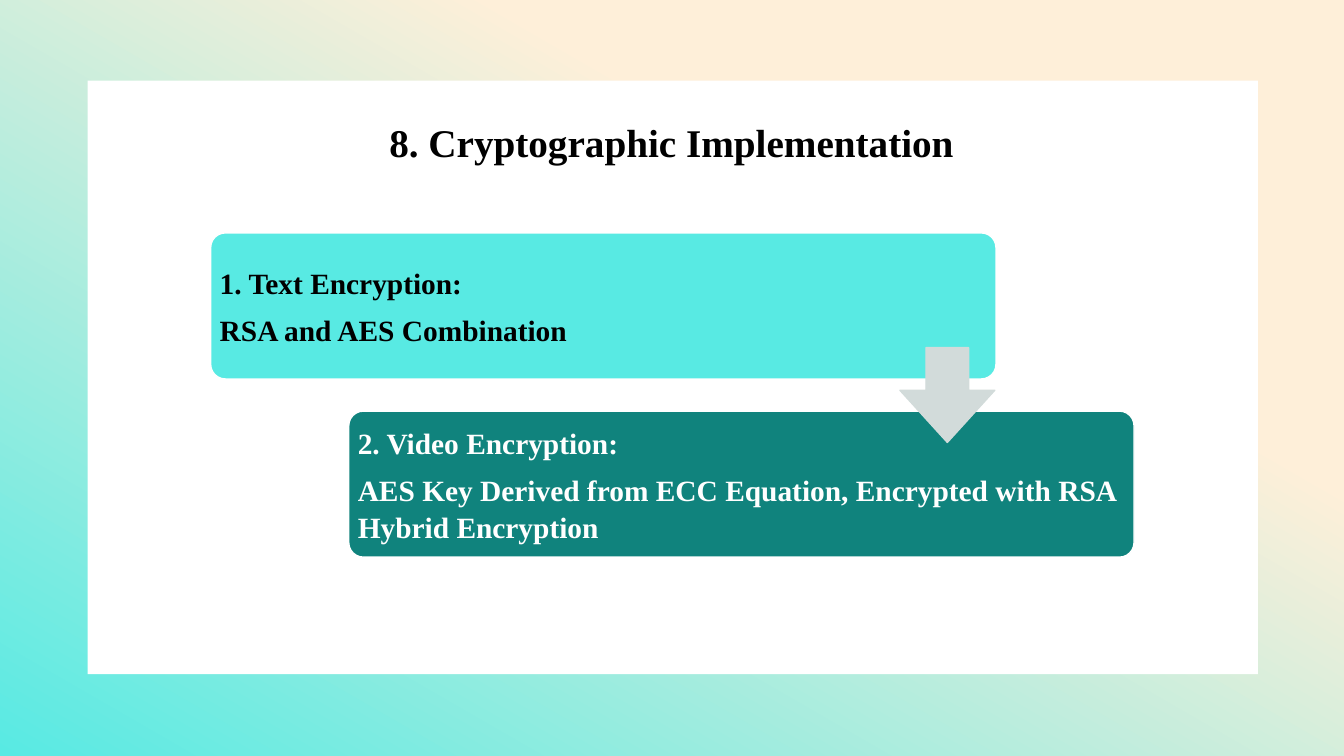
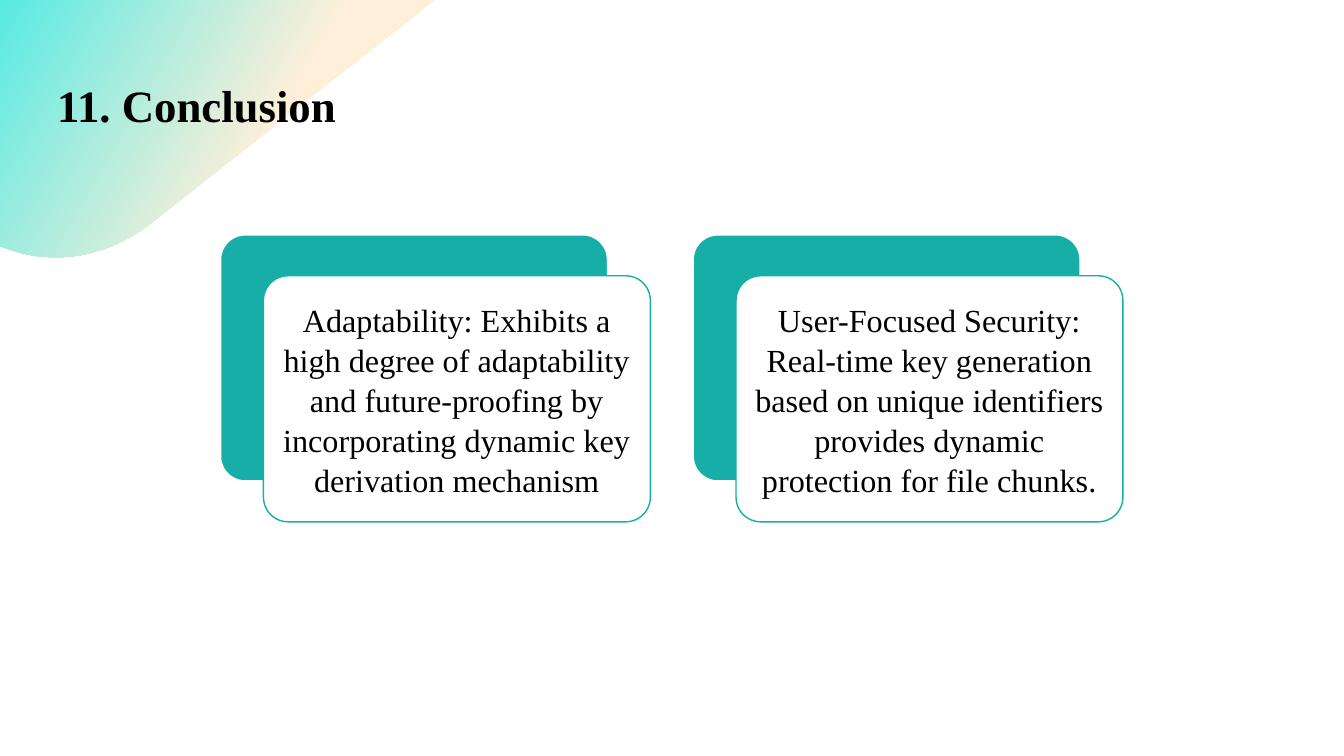
from pptx import Presentation
from pptx.dml.color import RGBColor
from pptx.enum.shapes import MSO_SHAPE as Preset
from pptx.enum.text import MSO_ANCHOR as Anchor, PP_ALIGN as Align
from pptx.util import Cm, Pt

WHITE = RGBColor(0xFF, 0xFF, 0xFF)
BLACK = RGBColor(0x00, 0x00, 0x00)
CREAM = RGBColor(0xFE, 0xEF, 0xD9)
AQUA = RGBColor(0x58, 0xEA, 0xE3)
TEAL = RGBColor(0x16, 0xAE, 0xA7)
DARK_TEAL = RGBColor(0x10, 0x83, 0x7D)
GREY = RGBColor(0xD2, 0xDB, 0xDA)
FONT = "Times New Roman"


def write(shape, lines, size, color, bold=False, align=Align.LEFT,
          spacing=1.04, after=7.5, inset=None, anchor=Anchor.MIDDLE):
    frame = shape.text_frame
    frame.word_wrap = True
    frame.vertical_anchor = anchor
    if inset is not None:
        frame.margin_left = frame.margin_right = inset
        frame.margin_top = frame.margin_bottom = inset
    frame.text = "\n".join(lines)
    for para in frame.paragraphs:
        para.alignment = align
        para.line_spacing = spacing
        para.space_after = Pt(after)
        para.font.name = FONT
        para.font.size = Pt(size)
        para.font.bold = bold
        para.font.color.rgb = color


def paint(shape, fill=None, line=None, gradient=None):
    """Fill with one colour, or with a (start percent, angle) cream-to-aqua gradient."""
    shape.shadow.inherit = False
    if gradient:
        start, angle = gradient
        shape.fill.gradient()
        shape.fill.gradient_angle = angle
        stops = shape.fill.gradient_stops
        for stop, position, color in zip(stops, (start / 100, 1), (CREAM, AQUA)):
            stop.position = position
            stop.color.rgb = color
    else:
        shape.fill.solid()
        shape.fill.fore_color.rgb = fill
    if line is None:
        shape.line.fill.background()
    else:
        shape.line.color.rgb = line
        shape.line.width = Pt(1)


deck = Presentation()
deck.slide_width, deck.slide_height = Cm(33.87), Cm(19.05)
blank = deck.slide_layouts[6]

# Cryptographic implementation
page = deck.slides.add_slide(blank)
backdrop = page.shapes.add_shape(
    Preset.RECTANGLE, 0, 0, deck.slide_width, deck.slide_height)
paint(backdrop, gradient=(32, 240))
panel = page.shapes.add_shape(
    Preset.RECTANGLE, Cm(2.21), Cm(2.03), Cm(29.49), Cm(14.96))
paint(panel, WHITE)
title = page.shapes.add_textbox(Cm(5.92), Cm(3.18), Cm(22), Cm(1.6))
write(title, ["8. Cryptographic Implementation"], 28, BLACK, bold=True,
      align=Align.CENTER, spacing=0.7, after=6, anchor=Anchor.TOP)

steps = [
    (AQUA, BLACK, ["1. Text Encryption:", "RSA and AES Combination"]),
    (DARK_TEAL, WHITE, ["2. Video Encryption:",
                        "AES Key Derived from ECC Equation, Encrypted with RSA "
                        "Hybrid Encryption"]),
]
for index, (fill, color, lines) in enumerate(steps):
    step = page.shapes.add_shape(
        Preset.ROUNDED_RECTANGLE, Cm(5.31 + index * 3.48), Cm(5.87 + index * 4.49),
        Cm(19.79), Cm(3.68))
    step.adjustments[0] = 0.1
    paint(step, fill, WHITE)
    write(step, lines, 21, color, bold=True, inset=Cm(0.12))

arrow = page.shapes.add_shape(
    Preset.DOWN_ARROW, Cm(22.68), Cm(8.76), Cm(2.39), Cm(2.39))
arrow.adjustments[0] = 0.45
arrow.adjustments[1] = 0.55
paint(arrow, GREY, GREY)

# Conclusion
page = deck.slides.add_slide(blank)
corner_curves = [
    [(3.61, 5.77), (2.97, 6.22), (2.26, 6.45), (1.57, 6.48)],
    [(1.35, 6.48), (0.94, 6.48), (0.53, 6.4), (0.15, 6.25)],
]
outline = [(10.97, 0), (3.68, 5.72)]
for curve in corner_curves:
    for t in (part / 12 for part in range(13)):
        weights = ((1 - t) ** 3, 3 * t * (1 - t) ** 2, 3 * t ** 2 * (1 - t), t ** 3)
        outline.append(tuple(sum(weight * point[axis] for weight, point in zip(weights, curve))
                             for axis in (0, 1)))
outline.append((0, 6.2))
builder = page.shapes.build_freeform(0, 0)
builder.add_line_segments([(Cm(x), Cm(y)) for x, y in outline], close=True)
corner = builder.convert_to_shape()
paint(corner, gradient=(40, 150))

title = page.shapes.add_textbox(Cm(1.19), Cm(1.98), Cm(13.97), Cm(2.95))
write(title, ["11. Conclusion"], 32, BLACK, bold=True,
      spacing=0.9, after=6, anchor=Anchor.TOP)

findings = [
    "Adaptability: Exhibits a high degree of adaptability and future-proofing by "
    "incorporating dynamic key derivation mechanism",
    "User-Focused Security: Real-time key generation based on unique identifiers "
    "provides dynamic protection for file chunks.",
]
for index, finding in enumerate(findings):
    left, top = 5.56 + index * 11.91, 5.92
    for dx, dy, fill, line in ((0, 0, TEAL, WHITE), (1.08, 1.03, WHITE, TEAL)):
        card = page.shapes.add_shape(
            Preset.ROUNDED_RECTANGLE, Cm(left + dx), Cm(top + dy), Cm(9.75), Cm(6.2))
        card.adjustments[0] = 0.1
        paint(card, fill, line)
    write(card, [finding], 23, BLACK, align=Align.CENTER, inset=Cm(0.07))

deck.save("out.pptx")
